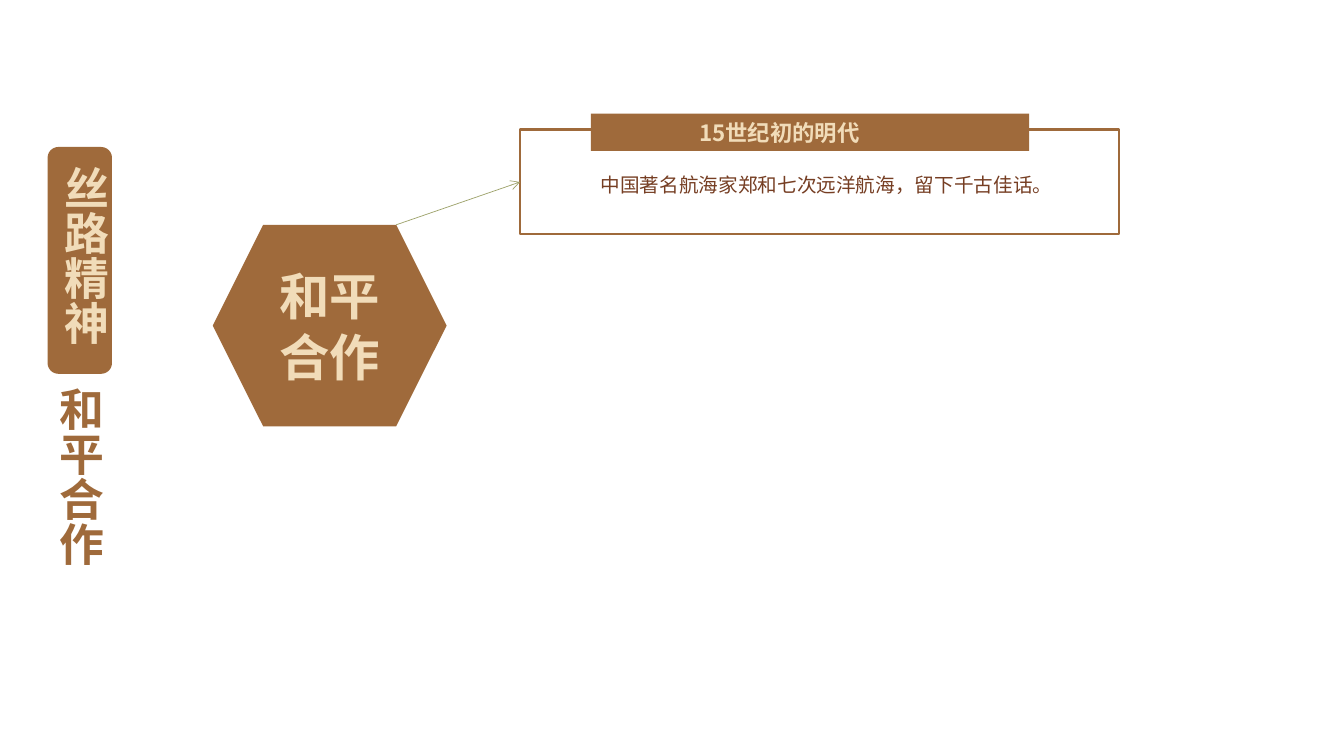
from lxml.etree import SubElement
from pptx import Presentation
from pptx.dml.color import RGBColor
from pptx.enum.shapes import MSO_CONNECTOR, MSO_SHAPE
from pptx.enum.text import MSO_ANCHOR, MSO_AUTO_SIZE, PP_ALIGN
from pptx.oxml.ns import qn
from pptx.util import Pt

BROWN = RGBColor(0x9F, 0x6A, 0x3B)
CREAM = RGBColor(0xF1, 0xDC, 0xB9)
DARK = RGBColor(0x76, 0x3E, 0x23)
GREEN = RGBColor(0x9D, 0xA2, 0x6A)
FACE = "Noto Sans CJK SC"

TOPIC = "和平合作"
THEME = "丝路精神"
ERA = "15世纪初的明代"
STORY = "中国著名航海家郑和七次远洋航海，留下千古佳话。"

HEX = (152, 160.6, 167, 144)
FRAME = (371.5, 92.5, 428, 75)
BAND = (422, 81.2, 313.2, 26.6)
NOTE = (422, 120.2, 384, 22.3)
BADGE = (34, 105, 46, 162)
SIDE = (30.2, 53.3, 136.8)
THEME_TOP, TOPIC_TOP = 111.6, 272.9
INSET = (7.2, 3.6, 7.2, 3.6)


def place(box):
    return [Pt(n) for n in box]


def draw(shapes, kind, box, fill=None):
    shape = shapes.add_shape(kind, *place(box))
    shape.shadow.inherit = False
    if fill is None:
        shape.fill.background()
        shape.line.color.rgb = BROWN
        shape.line.width = Pt(1.5)
    else:
        shape.fill.solid()
        shape.fill.fore_color.rgb = fill
        shape.line.fill.background()
    return shape


def write(shape, text, size, color, bold=True, align=PP_ALIGN.LEFT,
          anchor=MSO_ANCHOR.MIDDLE, inset=INSET):
    frame = shape.text_frame
    frame.word_wrap = True
    frame.vertical_anchor = anchor
    (frame.margin_left, frame.margin_top,
     frame.margin_right, frame.margin_bottom) = place(inset)
    frame.text = text
    para = frame.paragraphs[0]
    para.alignment = align
    para.line_spacing = 1.0
    para.space_before = Pt(0)
    font = para.font
    font.size, font.bold, font.name = Pt(size), bold, FACE
    font.color.rgb = color
    props = para._p.pPr.find(qn("a:defRPr"))
    SubElement(props, qn("a:ea")).set("typeface", FACE)
    return frame


def stand(shape, text, top, color):
    left, width, height = SIDE
    shape.left, shape.top, shape.width, shape.height = place(
        (left, top, width, height))
    frame = write(shape, text, 32, color, anchor=MSO_ANCHOR.TOP,
                  inset=(7.2, 3.6, 7.2, 3.6))
    frame.auto_size = MSO_AUTO_SIZE.SHAPE_TO_FIT_TEXT
    frame.word_wrap = False
    frame._txBody.bodyPr.set("vert", "eaVert")


def main():
    deck = Presentation()
    deck.slide_width, deck.slide_height = Pt(960), Pt(540)
    slide = deck.slides.add_slide(deck.slide_layouts[5])
    shapes = slide.shapes

    hexa = draw(shapes, MSO_SHAPE.HEXAGON, HEX, BROWN)
    write(hexa, TOPIC, 36, CREAM, align=PP_ALIGN.CENTER)

    left, top, width, height = HEX
    corner = left + width - height / 4
    frame = draw(shapes, MSO_SHAPE.RECTANGLE, FRAME)
    arrow = shapes.add_connector(
        MSO_CONNECTOR.STRAIGHT, *place((corner, top, FRAME[0], FRAME[1])))
    arrow.end_connect(frame, 1)
    arrow.line.color.rgb = GREEN
    arrow.line.width = Pt(0.5)
    SubElement(arrow.line._get_or_add_ln(), qn("a:tailEnd")).set("type", "arrow")
    SubElement(arrow._element.spPr, qn("a:effectLst"))

    band = draw(shapes, MSO_SHAPE.RECTANGLE, BAND, BROWN)
    write(band, ERA, 16, CREAM, inset=(77.5, 3.6, 7.2, 3.6))
    note = shapes.add_textbox(*place(NOTE))
    write(note, STORY, 14, DARK, bold=False, anchor=MSO_ANCHOR.TOP)

    group = shapes.add_group_shape()
    draw(group.shapes, MSO_SHAPE.ROUNDED_RECTANGLE, BADGE, BROWN)
    stand(group.shapes.add_textbox(0, 0, 0, 0), THEME, THEME_TOP, CREAM)
    stand(shapes.title, TOPIC, TOPIC_TOP, BROWN)

    deck.save("out.pptx")


if __name__ == "__main__":
    main()
